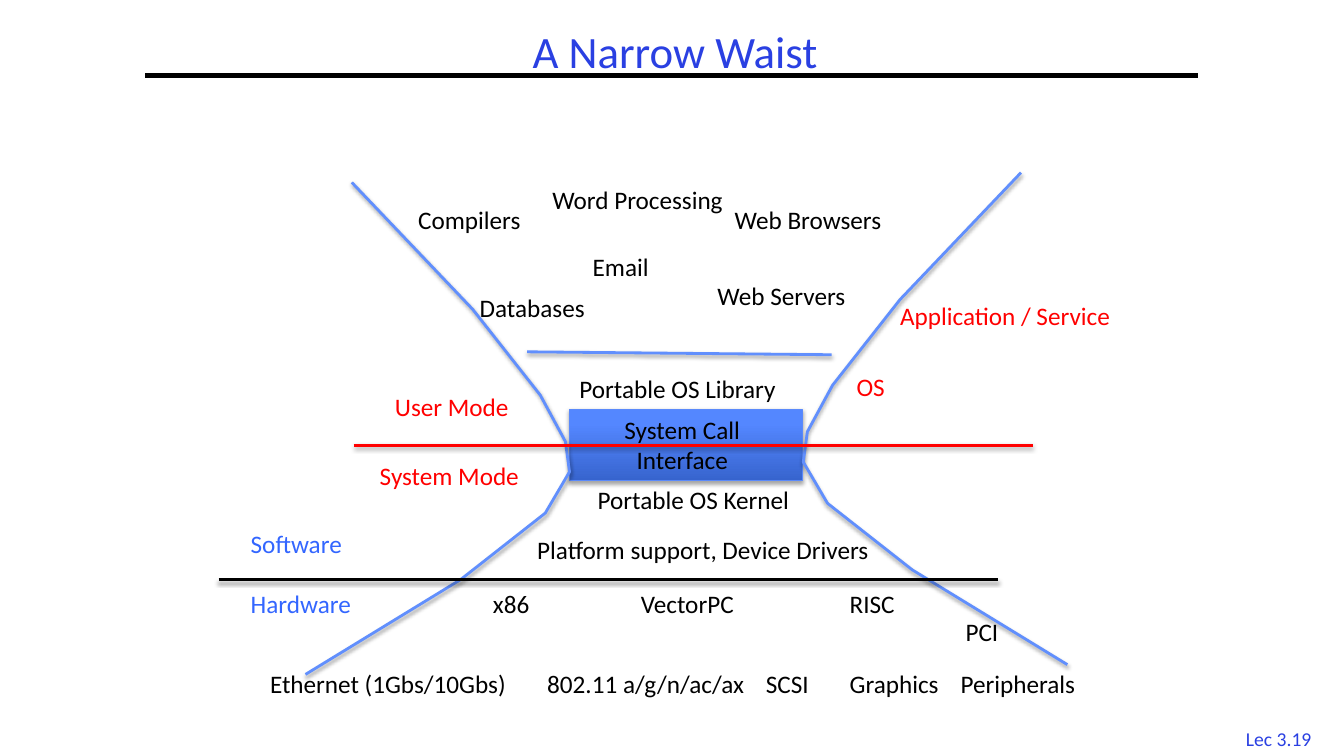
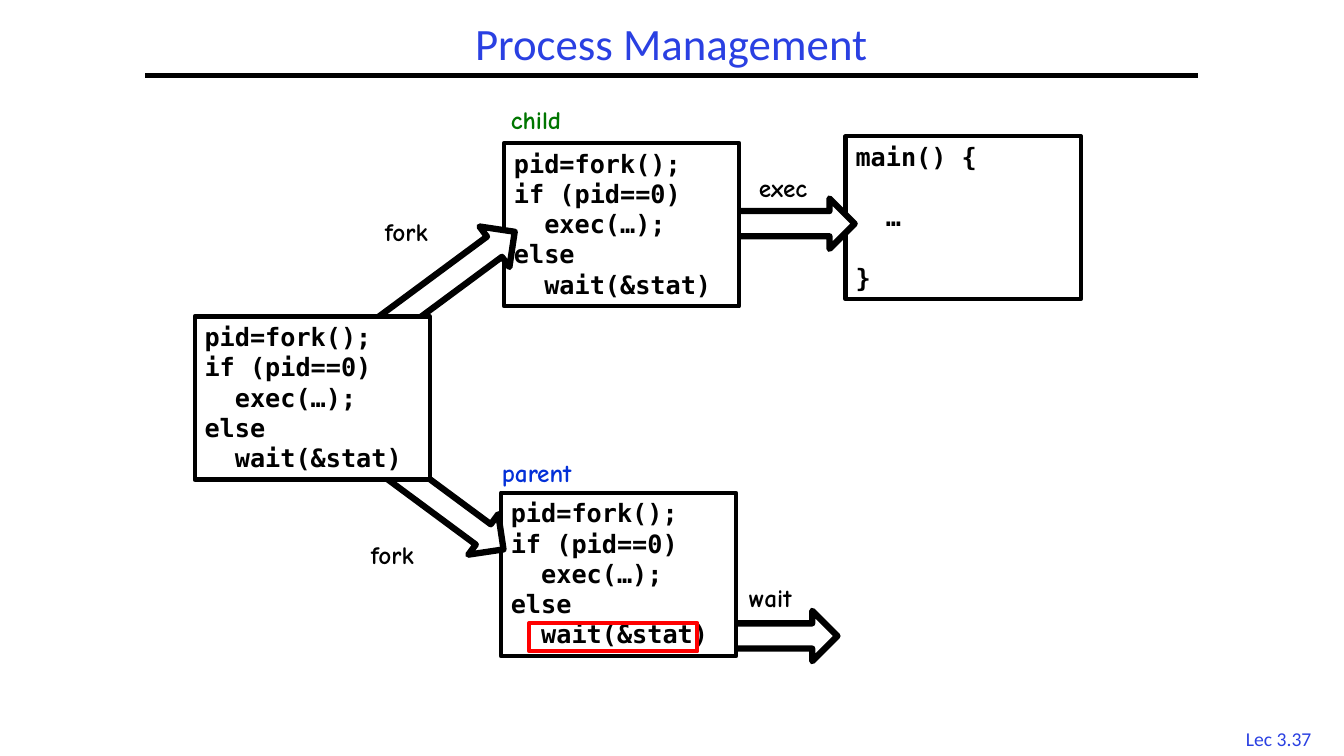
from lxml import etree
from pptx import Presentation
from pptx.dml.color import RGBColor
from pptx.enum.shapes import MSO_CONNECTOR as Connector, MSO_SHAPE as Shape
from pptx.enum.text import MSO_ANCHOR as Anchor, MSO_AUTO_SIZE as AutoSize, PP_ALIGN as Align
from pptx.oxml.ns import qn
from pptx.util import Pt

BLACK = RGBColor(0x00, 0x00, 0x00)
WHITE = RGBColor(0xFF, 0xFF, 0xFF)
RED = RGBColor(0xFF, 0x00, 0x00)
TITLE_BLUE = RGBColor(0x2A, 0x40, 0xE2)
LABEL_BLUE = RGBColor(0x33, 0x66, 0xFF)
WALL_BLUE = RGBColor(0x61, 0x8F, 0xFD)
BORDER_BLUE = RGBColor(0x5B, 0x8A, 0xFB)
DARK_BLUE = RGBColor(0x37, 0x64, 0xCE)
LIGHT_BLUE = RGBColor(0x54, 0x87, 0xFF)
CHILD_GREEN = RGBColor(0x00, 0x76, 0x00)
PARENT_BLUE = RGBColor(0x03, 0x30, 0xD8)

TITLE_FONT = {"name": "Calibri", "size": Pt(32), "bold": False}
FOOTER_FONT = {"name": "Calibri", "size": Pt(14)}
LABEL_FONT = {"name": "Calibri", "size": Pt(18)}
COMIC_FONT = {"name": "Comic Neue", "size": Pt(18), "bold": True}
CODE_FONT = {"name": "DejaVu Sans Mono", "size": Pt(18), "bold": True}

LABEL_HEIGHT = 29
CODE_WIDTH, CODE_HEIGHT = 168, 116.6
CODE_LINE = 21.6
ARROW_HEIGHT = 36

FORK_CODE = ["pid=fork();", "if (pid==0)", "  exec(…);", "else", "  wait(&stat)"]
MAIN_CODE = ["main() {", "  …", "}"]

APPLICATION_LABELS = [
    ("Compilers", 291.6, 142.6, 96.5),
    ("Web Servers", 505.4, 196.6, 119.5),
    ("Web Browsers", 517.7, 142.6, 132.5),
    ("Databases", 335.5, 205.2, 101.5),
    ("Email", 416.2, 175.7, 60),
    ("Word Processing", 387.4, 128.2, 152.6),
]
SYSTEM_LABELS = [
    ("Portable OS Library", 406.8, 262.8, 174),
    ("Portable OS Kernel", 419.8, 342.7, 171.4),
    ("Platform support, Device Drivers", 376.6, 378, 281),
]
PROCESSOR_LABELS = [("x86", 345, 44), ("VectorPC", 450.7, 91.4), ("RISC", 599.8, 55)]
DEVICE_LABELS = [
    ("Ethernet (1Gbs/10Gbs)", 185.8, 202.3),
    ("802.11 a/g/n/ac/ax", 383.8, 162.7),
    ("SCSI", 540, 57),
    ("Graphics", 599.8, 87),
    ("Peripherals", 679, 111.6),
]
MODE_LABELS = [
    ("System Mode", 264.2, 325.4, 125.3),
    ("User Mode", 275, 275.8, 103.7),
    ("OS", 604.8, 262, 41),
    ("Application / Service", 635.8, 211, 179.3),
]
LEFT_WALL = [
    (251.3, 130.3), (337.7, 221), (385.9, 282.2), (403.9, 315.4),
    (406.8, 337), (389.5, 366.5), (329, 414), (218.2, 481.7),
]
MIRROR_SUM, MIRROR_RISE = 980.6, 7


def set_shadow(shape, shadow=None):
    effects = etree.SubElement(shape._element.spPr, qn("a:effectLst"))
    if shadow:
        blur, distance, opacity = shadow
        outer = etree.SubElement(effects, qn("a:outerShdw"), {
            "blurRad": str(Pt(blur)), "dist": str(Pt(distance)),
            "dir": "5400000", "rotWithShape": "0"})
        color = etree.SubElement(outer, qn("a:srgbClr"), val="000000")
        etree.SubElement(color, qn("a:alpha"), val=str(opacity * 1000))


def set_line(shape, color, width):
    shape.line.color.rgb = color
    shape.line.width = Pt(width)


def write_lines(frame, lines, font, color, alignment=Align.LEFT):
    for index, line in enumerate(lines):
        paragraph = frame.paragraphs[0] if index == 0 else frame.add_paragraph()
        paragraph.alignment = alignment
        run = paragraph.add_run()
        run.text = line
        for name, value in font.items():
            setattr(run.font, name, value)
        run.font.color.rgb = color


def add_label(slide, lines, left, top, width, font=LABEL_FONT, color=BLACK,
              height=LABEL_HEIGHT, alignment=Align.LEFT):
    box = slide.shapes.add_textbox(Pt(left), Pt(top), Pt(width), Pt(height))
    box.text_frame.word_wrap = False
    box.text_frame.auto_size = AutoSize.SHAPE_TO_FIT_TEXT
    write_lines(box.text_frame, lines, font, color, alignment)


def add_line(slide, start, end, color, width, shadow=None):
    line = slide.shapes.add_connector(
        Connector.STRAIGHT, *(Pt(value) for value in (*start, *end)))
    set_line(line, color, width)
    set_shadow(line, shadow)


def add_wall(slide, points):
    corners = [(Pt(x), Pt(y)) for x, y in points]
    builder = slide.shapes.build_freeform(*corners[0])
    builder.add_line_segments(corners[1:], close=False)
    wall = builder.convert_to_shape()
    wall.fill.background()
    set_line(wall, WALL_BLUE, 2)
    set_shadow(wall, (3.1, 1.6, 38))


def add_box(slide, kind, left, top, width, height, color, line_width, fill=None):
    shape = slide.shapes.add_shape(kind, Pt(left), Pt(top), Pt(width), Pt(height))
    shape.shadow.inherit = False
    set_line(shape, color, line_width)
    if fill is None:
        shape.fill.background()
    else:
        shape.fill.solid()
        shape.fill.fore_color.rgb = fill
    return shape


def add_arrow(slide, left, top, width, rotation=0):
    arrow = add_box(slide, Shape.RIGHT_ARROW, left, top, width, ARROW_HEIGHT, BLACK, 4.5, WHITE)
    arrow.rotation = rotation


def add_code(slide, lines, left, top, gap=0):
    box = add_box(slide, Shape.RECTANGLE, left, top, CODE_WIDTH, CODE_HEIGHT, BLACK, 3, WHITE)
    frame = box.text_frame
    frame.word_wrap = True
    frame.vertical_anchor = Anchor.TOP
    write_lines(frame, lines, CODE_FONT, BLACK)
    for paragraph in frame.paragraphs[1:]:
        paragraph.space_before = Pt(gap)


def add_interface(slide):
    shape = slide.shapes.add_shape(Shape.RECTANGLE, Pt(406.8), Pt(292.3), Pt(166.3), Pt(51.1))
    shape.fill.gradient()
    shape.fill.gradient_angle = 90
    stops = zip(shape.fill.gradient_stops, (DARK_BLUE, LIGHT_BLUE), (0, 0.8))
    for stop, color, position in stops:
        stop.color.rgb = color
        stop.position = position
    set_line(shape, BORDER_BLUE, 0.75)
    set_shadow(shape, (3.1, 1.8, 35))


def add_slide(presentation, title, title_place, footer):
    slide = presentation.slides.add_slide(presentation.slide_layouts[5])
    placeholder = slide.shapes.title
    for name, value in zip(("left", "top", "width", "height"), title_place):
        setattr(placeholder, name, Pt(value))
    frame = placeholder.text_frame
    frame.auto_size = AutoSize.NONE
    frame.vertical_anchor = Anchor.MIDDLE
    write_lines(frame, [title], TITLE_FONT, TITLE_BLUE, Align.CENTER)
    frame.paragraphs[0].line_spacing = 0.9
    add_label(slide, [footer], 878.4, 515.5, 70, FOOTER_FONT, TITLE_BLUE, 24, Align.CENTER)
    add_line(slide, (103.7, 54), (856, 54), BLACK, 3)
    return slide


def build_narrow_waist(presentation):
    slide = add_slide(presentation, "A Narrow Waist", (172, 5.8, 620.6, 66.2), "Lec 3.19")
    add_interface(slide)
    for text, left, top, width in APPLICATION_LABELS + SYSTEM_LABELS:
        add_label(slide, [text], left, top, width)
    add_label(slide, ["System Call", "Interface"], 429, 292.3, 116.6,
              height=51, alignment=Align.CENTER)
    for top, labels in ((417, PROCESSOR_LABELS), (473.8, DEVICE_LABELS)):
        for text, left, width in labels:
            add_label(slide, [text], left, top, width)
    add_label(slide, ["PCI"], 682.6, 437, 44.6)

    add_wall(slide, LEFT_WALL)
    add_wall(slide, [(MIRROR_SUM - x, y - MIRROR_RISE) for x, y in LEFT_WALL])
    for start, end, color in (
        ((376.6, 251.3), (594, 253.4), WALL_BLUE),
        ((156.2, 414), (712.8, 414), BLACK),
        ((252.7, 318.2), (738, 318.2), RED),
    ):
        add_line(slide, start, end, color, 2, (3.1, 1.6, 38))

    add_label(slide, ["Software"], 172, 373.7, 86.4, color=LABEL_BLUE)
    add_label(slide, ["Hardware"], 172, 417, 93.6, color=LABEL_BLUE)
    for text, left, top, width in MODE_LABELS:
        add_label(slide, [text], left, top, width, color=RED)


def build_process_management(presentation):
    slide = add_slide(presentation, "Process Management", (103.7, 12.2, 751.7, 41.8), "Lec 3.37")
    add_arrow(slide, 514, 436.3, 84.2)
    add_code(slide, MAIN_CODE, 604, 97.2, CODE_LINE)
    add_arrow(slide, 526.3, 141.8, 84.2)
    add_code(slide, FORK_CODE, 357.8, 352)
    add_box(slide, Shape.RECTANGLE, 378, 445, 120.2, 20.2, RED, 3)
    add_code(slide, FORK_CODE, 360, 102.2)
    add_arrow(slide, 265, 181.4, 113.8, 323.5)
    add_arrow(slide, 257, 340.6, 113.8, 36.5)
    add_code(slide, FORK_CODE, 139, 226)
    for text, left, top, width, color in (
        ("child", 357.8, 70.6, 57, CHILD_GREEN),
        ("parent", 351.4, 323.3, 71.3, PARENT_BLUE),
        ("fork", 267.8, 151.2, 52, BLACK),
        ("fork", 257.8, 381.6, 52, BLACK),
        ("wait", 527.8, 412.6, 51, BLACK),
        ("exec", 535, 119.5, 54.7, BLACK),
    ):
        add_label(slide, [text], left, top, width, COMIC_FONT, color)


def main():
    presentation = Presentation()
    presentation.slide_width = Pt(960)
    presentation.slide_height = Pt(540)
    build_narrow_waist(presentation)
    build_process_management(presentation)
    presentation.save("out.pptx")


if __name__ == "__main__":
    main()
